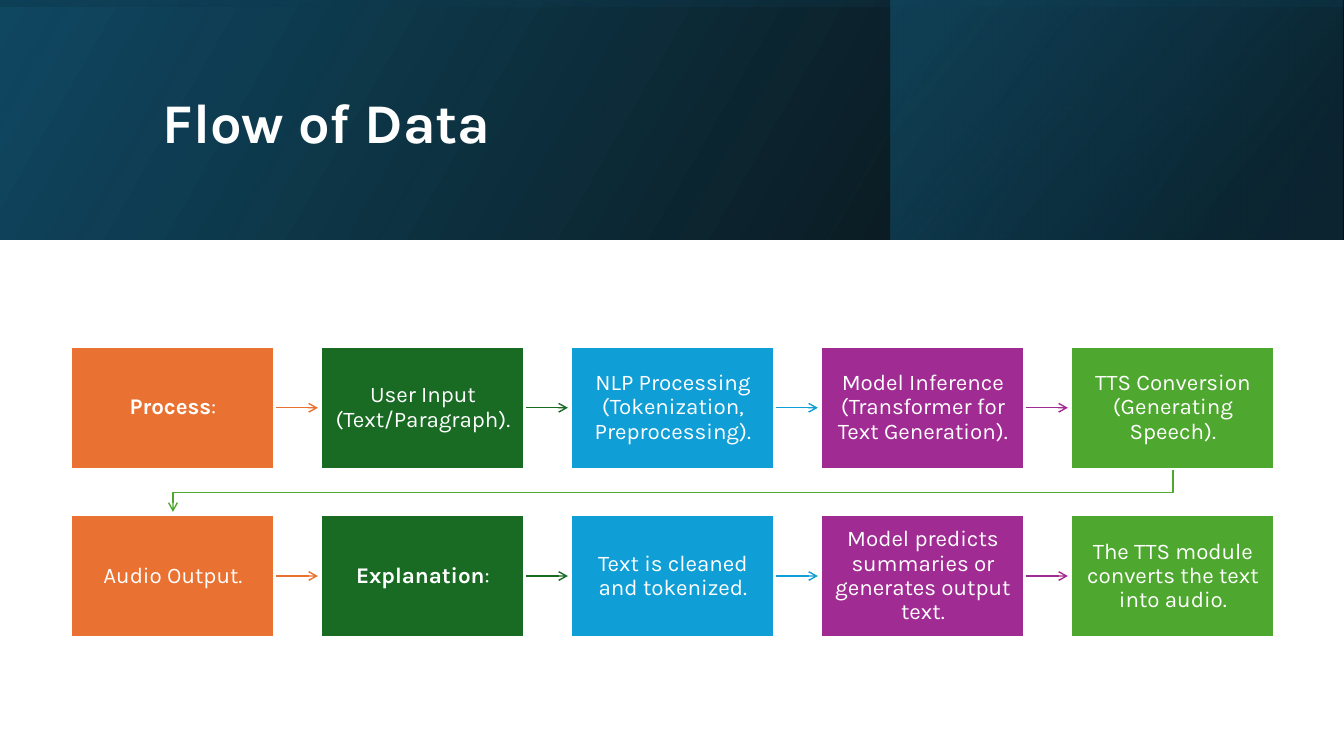
import dataclasses
import pptx
import pptx.dml.color
import pptx.enum.shapes
import pptx.enum.text
import pptx.oxml.ns
import pptx.util
import lxml.etree

Cm = pptx.util.Cm
Pt = pptx.util.Pt
RGB = pptx.dml.color.RGBColor.from_string
qn = pptx.oxml.ns.qn


@dataclasses.dataclass(frozen=True)
class Theme:
    font: str = "Karla"
    title_size: int = 40
    step_size: int = 16
    white: str = "FFFFFF"
    black: str = "000000"
    navy: str = "104862"
    deep: str = "0B3041"
    teal: str = "156082"
    columns: tuple = ("E97132", "196B24", "0F9ED5", "A02B93", "4EA72E")


class FlowSlide:
    def __init__(self, prs, theme):
        self.theme = theme
        self.s = prs.slides.add_slide(prs.slide_layouts[5])

    def style_run(self, r, size, bold):
        r.font.name = self.theme.font
        r.font.size = Pt(size)
        r.font.bold = bold
        r.font.color.rgb = RGB(self.theme.white)

    def rect(self, x, y, w, h):
        sp = self.s.shapes.add_shape(
            pptx.enum.shapes.MSO_SHAPE.RECTANGLE, Cm(x), Cm(y), Cm(w), Cm(h))
        sp.shadow.inherit = False
        return sp

    def band(self, x, y, w, h, stops, angle, rotation=0):
        sp = self.rect(x, y, w, h)
        sp.rotation = rotation
        sp._element.spPr.find(qn("a:xfrm")).set("flipH", "1")
        sp.line.fill.background()
        sp.fill.gradient()
        sp.fill.gradient_angle = 360 - angle
        for stop, (position, color, opacity) in zip(sp.fill.gradient_stops, stops):
            stop.position = position / 100
            stop.color.rgb = RGB(color)
        for clr, (_, _, opacity) in zip(sp._element.spPr.iter(qn("a:srgbClr")), stops):
            lxml.etree.SubElement(clr, qn("a:alpha")).set("val", str(opacity * 1000))

    def title(self, text, x, y, w, h):
        sp = self.s.shapes.title
        sp.left, sp.top, sp.width, sp.height = Cm(x), Cm(y), Cm(w), Cm(h)
        self.s.shapes._spTree.append(sp._element)
        tf = sp.text_frame
        tf.text = text
        tf.auto_size = pptx.enum.text.MSO_AUTO_SIZE.NONE
        tf.vertical_anchor = pptx.enum.text.MSO_ANCHOR.MIDDLE
        p = tf.paragraphs[0]
        p.alignment = pptx.enum.text.PP_ALIGN.LEFT
        p.line_spacing = 0.9
        self.style_run(p.runs[0], self.theme.title_size, True)

    def box(self, x, y, w, h, color, text, heading):
        sp = self.rect(x, y, w, h)
        sp.fill.solid()
        sp.fill.fore_color.rgb = RGB(color)
        sp.line.color.rgb = RGB(self.theme.white)
        sp.line.width = Pt(1.5)
        tf = sp.text_frame
        tf.word_wrap = True
        tf.vertical_anchor = pptx.enum.text.MSO_ANCHOR.MIDDLE
        tf.margin_left = tf.margin_right = tf.margin_top = tf.margin_bottom = Cm(0.25)
        p = tf.paragraphs[0]
        p.alignment = pptx.enum.text.PP_ALIGN.CENTER
        p.line_spacing = 0.9
        for part, bold in ((heading, True), (text, False)):
            if part:
                r = p.add_run()
                r.text = part
                self.style_run(r, self.theme.step_size, bold)

    def arrow_line(self, sp, color):
        sp.line.color.rgb = RGB(color)
        sp.line.width = Pt(1)
        ln = sp._element.spPr.find(qn("a:ln"))
        lxml.etree.SubElement(ln, qn("a:tailEnd")).set("type", "arrow")

    def arrow(self, x1, x2, y, color):
        sp = self.s.shapes.add_connector(
            pptx.enum.shapes.MSO_CONNECTOR.STRAIGHT, Cm(x1), Cm(y), Cm(x2), Cm(y))
        self.arrow_line(sp, color)
        lxml.etree.SubElement(sp._element.spPr, qn("a:effectLst"))

    def route(self, points, color):
        start, *rest = [(Cm(x), Cm(y)) for x, y in points]
        builder = self.s.shapes.build_freeform(*start)
        builder.add_line_segments(rest, close=False)
        sp = builder.convert_to_shape()
        sp.shadow.inherit = False
        sp.fill.background()
        self.arrow_line(sp, color)


STEPS = [
    [("Process", ":"),
     ("", "User Input (Text/Paragraph)."),
     ("", "NLP Processing (Tokenization, Preprocessing)."),
     ("", "Model Inference (Transformer for Text Generation)."),
     ("", "TTS Conversion (Generating Speech).")],
    [("", "Audio Output."),
     ("Explanation", ":"),
     ("", "Text is cleaned and tokenized."),
     ("", "Model predicts summaries or generates output text."),
     ("", "The TTS module converts the text into audio.")],
]
LEFT, TOP = 1.8, 8.74
BOX_W, BOX_H = 5.12, 3.07
PITCH_X, PITCH_Y = 6.3, 4.24
ARROW = 1.09
SLIDE_W, SLIDE_H, BAND_H = 33.87, 19.05, 6.03


def main():
    prs = pptx.Presentation()
    prs.slide_width, prs.slide_height = Cm(SLIDE_W), Cm(SLIDE_H)
    theme = Theme()
    slide = FlowSlide(prs, theme)

    slide.band(0, 0, SLIDE_W, BAND_H,
               [(0, theme.black, 96), (100, theme.navy, 100)], 330)
    slide.band(22.44, 0, 11.4, BAND_H,
               [(19, theme.deep, 68), (100, theme.teal, 48)], 320)
    slide.band((SLIDE_W - BAND_H) / 2, (BAND_H - SLIDE_W) / 2, BAND_H, SLIDE_W,
               [(23, theme.navy, 16), (99, theme.black, 45)], 350, 270)
    slide.title("Flow of Data", 3.84, 0.97, 27, 4.37)

    last = len(theme.columns) - 1
    for row, steps in enumerate(STEPS):
        y = TOP + row * PITCH_Y
        for col, (heading, text) in enumerate(steps):
            x = LEFT + col * PITCH_X
            color = theme.columns[col]
            if col < last:
                slide.arrow(x + BOX_W, x + BOX_W + ARROW, y + BOX_H / 2, color)
            elif row == 0:
                bottom = y + BOX_H
                first_x, last_x = LEFT + BOX_W / 2, x + BOX_W / 2
                slide.route([(last_x, bottom), (last_x, bottom + 0.6),
                             (first_x, bottom + 0.6), (first_x, bottom + ARROW)], color)
            slide.box(x, y, BOX_W, BOX_H, color, text, heading)

    prs.save("out.pptx")


if __name__ == "__main__":
    main()
